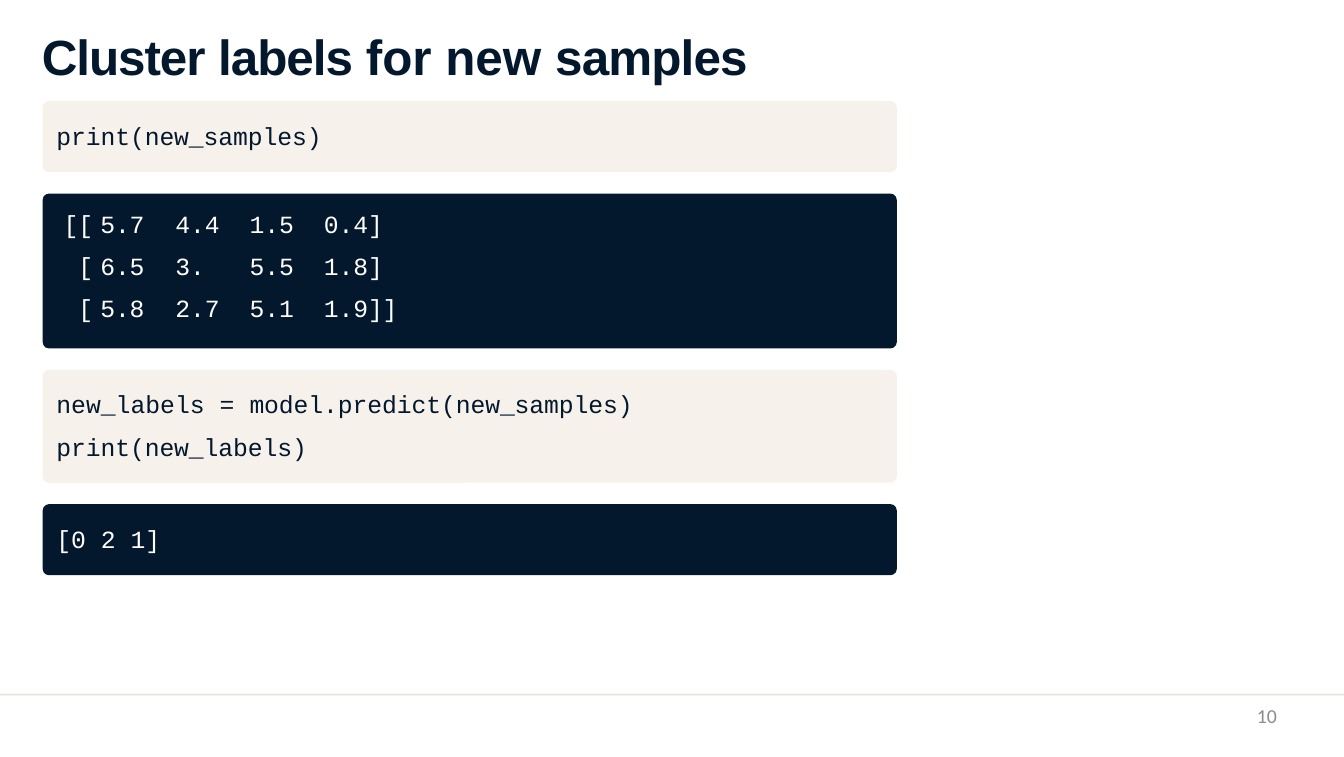
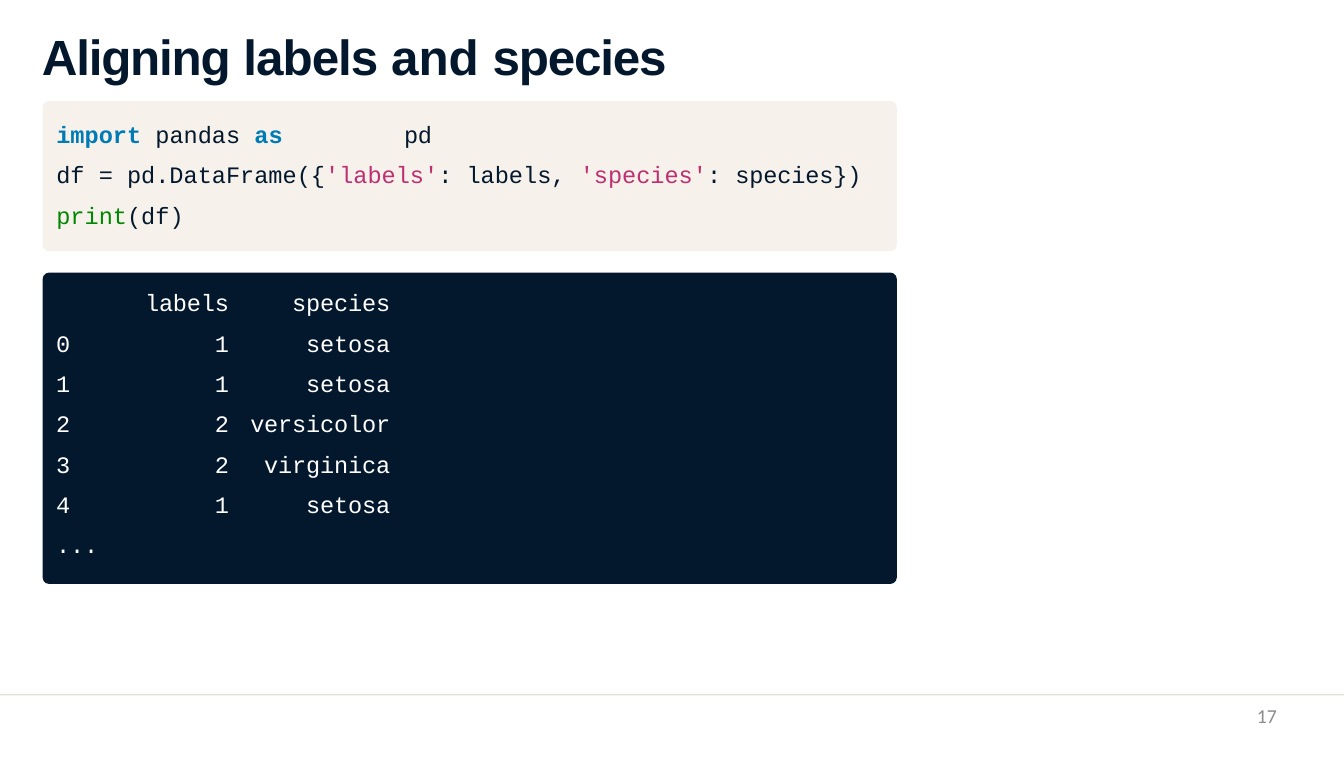
from dataclasses import dataclass, field
from typing import NamedTuple

import pptx
import pptx.dml.color
import pptx.enum.shapes
import pptx.enum.text
import pptx.oxml
import pptx.oxml.ns
import pptx.util

SLIDE_WIDTH, SLIDE_HEIGHT = 17.01, 9.58
LEFT = 0.54
PANEL_WIDTH = 10.81
PANEL_TOP = 1.28
PANEL_GAP = 0.27
PANEL_PADDING = 0.37
CORNER = 0.08
TABLE_OFFSET = 0.24
EDGE_ROW_TRIM = 0.06
CODE_SPACING = 1.43
NO_GRID_STYLE = "{2D5ABB26-0587-4C30-8999-92F81FD0307C}"

COLOURS = {
    "navy": "04182D",
    "cream": "F6F2EB",
    "rule": "E4E1D9",
    "white": "FFFFFF",
    "grey": "8C8C8C",
    "keyword": "007BB5",
    "string": "BE2F72",
    "function": "008600",
}
FONTS = {"title": "Arial", "code": "Courier New", "number": "Calibri"}
ALIGN = pptx.enum.text.PP_ALIGN


class Piece(NamedTuple):
    """A stretch of text with one format."""
    text: str
    colour: str = "navy"
    bold: bool = False
    spacing: float = 0


class Column(NamedTuple):
    width: float
    align: ALIGN = ALIGN.LEFT
    indent: float = 0


@dataclass
class CodePanel:
    lines: list[list[Piece]]
    fill: str = "cream"
    tab: float = 0

    @property
    def line_count(self) -> int:
        return len(self.lines)


@dataclass
class TablePanel:
    columns: list[Column]
    rows: list[list[str]]
    fill: str = "navy"

    @property
    def line_count(self) -> int:
        return len(self.rows)


@dataclass
class CodeSlide:
    number: int
    title: list[Piece]
    size: float
    pitch: float
    panels: list[CodePanel | TablePanel] = field(default_factory=list)


def inches(value: float) -> pptx.util.Emu:
    return pptx.util.Inches(round(value, 2))


def place(shape, left: float, top: float, width: float, height: float) -> None:
    shape.left, shape.top = inches(left), inches(top)
    shape.width, shape.height = inches(width), inches(height)


def rgb(name: str) -> pptx.dml.color.RGBColor:
    return pptx.dml.color.RGBColor.from_string(COLOURS[name])


def add_text(paragraph, text: str, *, font: str, size: float, colour: str = "navy",
             bold: bool = False, spacing: float = 0) -> None:
    run = paragraph.add_run()
    run.text = text
    run.font.name = FONTS[font]
    run.font.size = pptx.util.Pt(size)
    run.font.bold = bold
    run.font.color.rgb = rgb(colour)
    if spacing:
        run._r.get_or_add_rPr().set("spc", str(round(spacing * 100)))


def set_frame(text_frame, left: float = 0, top: float = 0) -> None:
    """Top-anchored, wrapping text with margins only at the left and top."""
    text_frame.word_wrap = True
    text_frame.auto_size = pptx.enum.text.MSO_AUTO_SIZE.NONE
    text_frame.vertical_anchor = pptx.enum.text.MSO_ANCHOR.TOP
    text_frame.margin_left, text_frame.margin_top = inches(left), inches(top)
    text_frame.margin_right = text_frame.margin_bottom = 0


def add_tab_stop(paragraph, position: float) -> None:
    tabs = pptx.oxml.parse_xml(
        f'<a:tabLst {pptx.oxml.ns.nsdecls("a")}>'
        f'<a:tab pos="{inches(position)}" algn="l"/></a:tabLst>')
    paragraph._p.get_or_add_pPr().append(tabs)


def add_block(slide, kind, fill: str, left: float, top: float, width: float, height: float):
    shape = slide.shapes.add_shape(
        kind, inches(left), inches(top), inches(width), inches(height))
    shape.shadow.inherit = False
    shape.fill.solid()
    shape.fill.fore_color.rgb = rgb(fill)
    shape.line.fill.background()
    return shape


def add_code(shape, panel: CodePanel, size: float) -> None:
    text_frame = shape.text_frame
    set_frame(text_frame, left=0.15, top=0.06)
    for index, pieces in enumerate(panel.lines):
        paragraph = text_frame.add_paragraph() if index else text_frame.paragraphs[0]
        paragraph.alignment = ALIGN.LEFT
        paragraph.line_spacing = CODE_SPACING
        if panel.tab:
            add_tab_stop(paragraph, panel.tab)
        for piece in pieces:
            add_text(paragraph, font="code", size=size, **piece._asdict())


def add_output_table(slide, panel: TablePanel, top: float, size: float, pitch: float) -> None:
    last = len(panel.rows) - 1
    heights = [pitch - EDGE_ROW_TRIM if index in (0, last) else pitch
               for index in range(last + 1)]
    width = sum(column.width for column in panel.columns)
    frame = slide.shapes.add_table(
        len(panel.rows), len(panel.columns),
        inches(0.68), inches(top), inches(width), inches(sum(heights)))
    table = frame.table
    table.first_row = table.horz_banding = False
    for style in frame.element.iter(pptx.oxml.ns.qn("a:tableStyleId")):
        style.text = NO_GRID_STYLE
    for table_column, column in zip(table.columns, panel.columns):
        table_column.width = inches(column.width)
    for row_index, (height, texts) in enumerate(zip(heights, panel.rows)):
        table.rows[row_index].height = inches(height)
        for column_index, (column, text) in enumerate(zip(panel.columns, texts)):
            cell = table.cell(row_index, column_index)
            cell.fill.background()
            cell.margin_left = inches(column.indent)
            cell.margin_top = inches(0.07 if row_index else 0)
            cell.margin_right = cell.margin_bottom = 0
            if text:
                paragraph = cell.text_frame.paragraphs[0]
                paragraph.alignment = column.align
                add_text(paragraph, text, font="code", size=size,
                         colour="white", spacing=-0.15)


def add_title(slide, pieces: list[Piece]) -> None:
    title = slide.shapes.title
    place(title, 0.53, 0.3, 12.68, 0.78)
    set_frame(title.text_frame, top=0.03)
    paragraph = title.text_frame.paragraphs[0]
    paragraph.alignment = ALIGN.LEFT
    for piece in pieces:
        add_text(paragraph, font="title", size=45, **piece._asdict())


def add_footer(slide, number: int) -> None:
    add_block(slide, pptx.enum.shapes.MSO_SHAPE.RECTANGLE, "rule",
              0, 8.78, SLIDE_WIDTH, 0.02)
    box = slide.shapes.add_textbox(inches(12.25), inches(8.91), inches(3.91), inches(0.48))
    set_frame(box.text_frame)
    paragraph = box.text_frame.paragraphs[0]
    paragraph.alignment = ALIGN.RIGHT
    add_text(paragraph, str(number), font="number", size=18, colour="grey")


def add_panels(slide, content: CodeSlide) -> None:
    """Stack the panels, each as tall as its number of lines needs."""
    top = PANEL_TOP
    for panel in content.panels:
        height = PANEL_PADDING + panel.line_count * content.pitch
        shape = add_block(slide, pptx.enum.shapes.MSO_SHAPE.ROUNDED_RECTANGLE,
                          panel.fill, LEFT, top, PANEL_WIDTH, height)
        shape.adjustments[0] = CORNER / height
        if isinstance(panel, CodePanel):
            add_code(shape, panel, content.size)
        else:
            add_output_table(slide, panel, top + TABLE_OFFSET, content.size, content.pitch)
        top += height + PANEL_GAP


def title_piece(text: str, spacing: float) -> Piece:
    return Piece(text, bold=True, spacing=spacing)


SLIDES = [
    CodeSlide(
        number=10,
        title=[title_piece("Cluster ", -1), title_piece("labels ", -0.9),
               title_piece("for new ", 0), title_piece("samples", -0.8)],
        size=22.5,
        pitch=0.53,
        panels=[
            CodePanel([[Piece("print(new_samples)", spacing=-0.1)]]),
            TablePanel(
                [Column(0.5, ALIGN.RIGHT), Column(0.85, indent=0.09),
                 Column(0.94, indent=0.19), Column(0.94, ALIGN.CENTER),
                 Column(1.16, indent=0.19)],
                [["[[", "5.7", "4.4", "1.5", "0.4]"],
                 ["[", "6.5", "3.", "5.5", "1.8]"],
                 ["[", "5.8", "2.7", "5.1", "1.9]]"]]),
            CodePanel([[Piece("new_labels = "),
                        Piece("model.predict(new_samples)", spacing=-0.1)],
                       [Piece("print(new_labels)", spacing=-0.1)]]),
            CodePanel([[Piece("[0 2 1]", "white")]], fill="navy"),
        ],
    ),
    CodeSlide(
        number=17,
        title=[title_piece("Aligning ", -1.1), title_piece("labels ", -0.9),
               title_piece("and ", 0), title_piece("species", -1.1)],
        size=21.5,
        pitch=0.51,
        panels=[
            CodePanel(
                [[Piece("import", "keyword", True), Piece(" pandas "),
                  Piece("as", "keyword", True), Piece("\tpd", spacing=-0.2)],
                 [Piece("df = pd.DataFrame({"), Piece("'labels'", "string"),
                  Piece(": labels, "), Piece("'species'", "string"),
                  Piece(": "), Piece("species})", spacing=-0.1)],
                 [Piece("print", "function"), Piece("(df)")]],
                tab=4.4),
            TablePanel(
                [Column(0.76, indent=0.03), Column(1.46, ALIGN.RIGHT),
                 Column(2.04, ALIGN.RIGHT)],
                [["", "labels", "species"],
                 ["0", "1", "setosa"],
                 ["1", "1", "setosa"],
                 ["2", "2", "versicolor"],
                 ["3", "2", "virginica"],
                 ["4", "1", "setosa"],
                 ["...", "", ""]]),
        ],
    ),
]


def main() -> None:
    presentation = pptx.Presentation()
    presentation.slide_width = inches(SLIDE_WIDTH)
    presentation.slide_height = inches(SLIDE_HEIGHT)
    title_only = presentation.slide_layouts.get_by_name("Title Only")
    for content in SLIDES:
        slide = presentation.slides.add_slide(title_only)
        add_footer(slide, content.number)
        add_title(slide, content.title)
        add_panels(slide, content)
    presentation.save("out.pptx")


if __name__ == "__main__":
    main()
